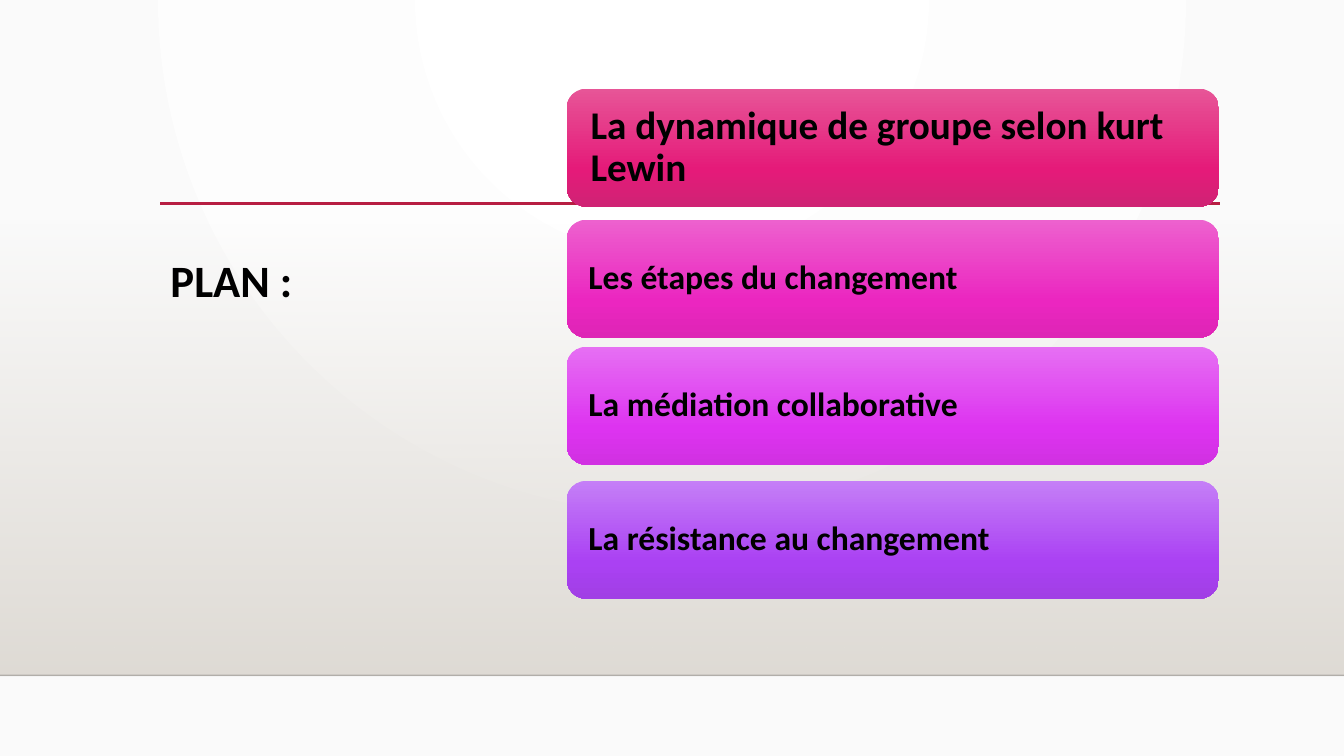
from lxml import etree
from pptx import Presentation
from pptx.dml.color import RGBColor
from pptx.enum.shapes import MSO_CONNECTOR, MSO_SHAPE
from pptx.enum.text import MSO_ANCHOR, PP_ALIGN
from pptx.oxml import parse_xml
from pptx.oxml.ns import qn
from pptx.util import Inches, Pt

RECTANGLE = MSO_SHAPE.RECTANGLE
ROUNDED = MSO_SHAPE.ROUNDED_RECTANGLE
STRAIGHT = MSO_CONNECTOR.STRAIGHT
TOP, MIDDLE = MSO_ANCHOR.TOP, MSO_ANCHOR.MIDDLE
LEFT = PP_ALIGN.LEFT

BLACK = RGBColor(0x00, 0x00, 0x00)
FLOOR_LINE = RGBColor(0x00, 0x00, 0x01)
CRIMSON = RGBColor(0xB7, 0x1E, 0x42)
WHITE = RGBColor(0xFF, 0xFF, 0xFF)
OFF_WHITE = RGBColor(0xFA, 0xFA, 0xFA)
STONE = RGBColor(0xDF, 0xDB, 0xD5)
ROSE = (RGBColor(0xE7, 0x55, 0x97), RGBColor(0xE5, 0x1A, 0x79), RGBColor(0xCF, 0x23, 0x74))
PINK = (RGBColor(0xED, 0x61, 0xCE), RGBColor(0xEB, 0x26, 0xC0), RGBColor(0xDE, 0x25, 0xB6))
MAGENTA = (RGBColor(0xE6, 0x6F, 0xF3), RGBColor(0xDD, 0x33, 0xF0), RGBColor(0xD1, 0x31, 0xE2))
VIOLET = (RGBColor(0xC5, 0x7F, 0xF7), RGBColor(0xAA, 0x41, 0xF3), RGBColor(0xA1, 0x3F, 0xE5))

DOWNWARD = '<a:lin ang="5400000" scaled="0"/>'
FROM_TOP_CENTRE = ('<a:path path="circle">'
                   '<a:fillToRect l="43000" r="43000" b="100000"/></a:path>')
NAMESPACE = "http://schemas.openxmlformats.org/drawingml/2006/main"

SLIDE_WIDTH, SLIDE_HEIGHT = 13.33, 7.5
FLOOR_TOP = 6.7
STEP_LEFT, STEP_WIDTH, STEP_HEIGHT = 5.62, 6.47, 1.17
STEPS = [
    ("La dynamique de groupe selon kurt Lewin", 0.88, 28, 0.18, ROSE),
    ("Les étapes du changement", 2.18, 24, 0.16, PINK),
    ("La médiation collaborative", 3.44, 24, 0.16, MAGENTA),
    ("La résistance au changement", 4.77, 24, 0.16, VIOLET),
]


class PlanSlide:
    """Holds the text style and the slide, and draws each kind of element."""

    font_format = {"name": "Calibri", "bold": True}

    def __init__(self, presentation):
        """Add a title-only slide to the presentation."""
        self.slide = presentation.slides.add_slide(presentation.slide_layouts[5])
        self.shapes = self.slide.shapes

    def gradient(self, fill, element, stops, direction=DOWNWARD):
        """Fill an element with (position, colour, opacity) stops."""
        fill.gradient()
        stop_xml = "".join(
            f'<a:gs pos="{position * 1000}"><a:srgbClr val="{colour}">'
            f'<a:alpha val="{opacity * 1000}"/></a:srgbClr></a:gs>'
            for position, colour, opacity in stops)
        gradient = parse_xml(f'<a:gradFill xmlns:a="{NAMESPACE}" rotWithShape="1">'
                             f'<a:gsLst>{stop_xml}</a:gsLst>{direction}</a:gradFill>')
        default = next(element.iter(qn("a:gradFill")))
        default.getparent().replace(default, gradient)

    def background(self, centre, edge):
        """Paint the slide with a circular gradient from the top centre."""
        self.gradient(self.slide.background.fill, self.slide.element,
                      [(0, centre, 100), (100, edge, 100)], FROM_TOP_CENTRE)

    def box(self, kind, left, top, width, height, stops):
        """Draw a borderless preset shape with a downward gradient."""
        shape = self.shapes.add_shape(kind, Inches(left), Inches(top),
                                      Inches(width), Inches(height))
        shape.shadow.inherit = False
        shape.line.fill.background()
        self.gradient(shape.fill, shape.element, stops)
        return shape

    def line(self, left, right, top, colour, width, opacity=100):
        """Draw a horizontal line."""
        connector = self.shapes.add_connector(STRAIGHT, Inches(left), Inches(top),
                                              Inches(right), Inches(top))
        connector.line.color.rgb = colour
        connector.line.width = Pt(width)
        properties = connector.element.spPr
        alpha = etree.SubElement(next(properties.iter(qn("a:srgbClr"))), qn("a:alpha"))
        alpha.set("val", str(opacity * 1000))
        etree.SubElement(properties, qn("a:effectLst"))

    def set_text(self, shape, text, size, anchor, inset, inset_top):
        """Put left-aligned text into a shape."""
        frame = shape.text_frame
        frame.text = text
        frame_format = {
            "word_wrap": True, "vertical_anchor": anchor,
            "margin_left": Inches(inset), "margin_right": Inches(inset),
            "margin_top": Inches(inset_top), "margin_bottom": Inches(inset_top),
        }
        for name, value in frame_format.items():
            setattr(frame, name, value)
        paragraph = frame.paragraphs[0]
        paragraph.alignment = LEFT
        paragraph.line_spacing = 0.9
        font = paragraph.runs[0].font
        for name, value in {**self.font_format, "size": Pt(size)}.items():
            setattr(font, name, value)
        font.color.rgb = BLACK

    def title(self, text, left, top, width, height, size):
        """Place the title above the elements drawn so far."""
        title = self.shapes.title
        place = {"left": left, "top": top, "width": width, "height": height}
        for name, value in place.items():
            setattr(title, name, Inches(value))
        self.set_text(title, text, size, TOP, 0.1, 0.05)
        title.element.getparent().append(title.element)

    def step(self, text, top, size, inset, colours):
        """Draw one rounded step of the plan."""
        stops = [(position, colour, 100) for position, colour in zip((0, 69, 100), colours)]
        shape = self.box(ROUNDED, STEP_LEFT, top, STEP_WIDTH, STEP_HEIGHT, stops)
        self.set_text(shape, text, size, MIDDLE, inset, inset)


def main():
    """Build the plan slide and save it."""
    presentation = Presentation()
    presentation.slide_width = Inches(SLIDE_WIDTH)
    presentation.slide_height = Inches(SLIDE_HEIGHT)
    plan = PlanSlide(presentation)
    plan.background(WHITE, OFF_WHITE)
    plan.box(RECTANGLE, 0, 2.21, SLIDE_WIDTH, FLOOR_TOP - 2.21,
             [(0, STONE, 0), (100, STONE, 100)])
    plan.line(0, SLIDE_WIDTH, FLOOR_TOP, FLOOR_LINE, 1, opacity=20)
    plan.line(1.59, 12.1, 2.02, CRIMSON, 2.5)
    plan.title("PLAN :", 1.59, 2.52, 3.58, 2.92, 32)
    for step in STEPS:
        plan.step(*step)
    presentation.save("out.pptx")


if __name__ == "__main__":
    main()
